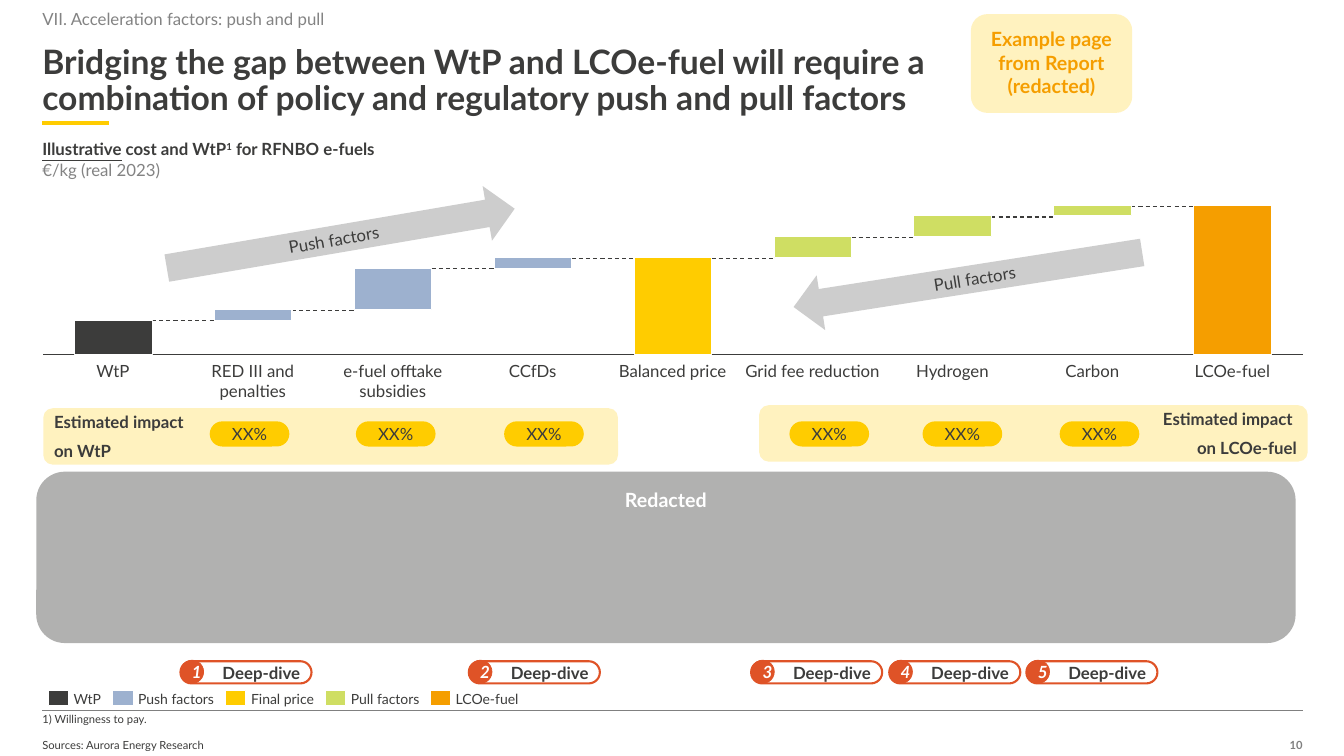
"""Builds the slide on push and pull factors that bridge WtP and LCOe-fuel."""
import dataclasses

import lxml.etree
import pptx
import pptx.chart.data
import pptx.dml.color
import pptx.enum.chart
import pptx.enum.dml
import pptx.enum.shapes
import pptx.enum.text
import pptx.oxml
import pptx.oxml.ns
import pptx.util

Inches = pptx.util.Inches
Pt = pptx.util.Pt
SHAPE = pptx.enum.shapes.MSO_SHAPE
ALIGN = pptx.enum.text.PP_ALIGN
ANCHOR = pptx.enum.text.MSO_ANCHOR


@dataclasses.dataclass(frozen=True)
class Theme:
    """Holds the colours, font and type sizes of the slide."""
    font: str = "Lato"
    ink: str = "3C3C3B"
    muted: str = "838383"
    rule: str = "808080"
    white: str = "FFFFFF"
    yellow: str = "FFCC00"
    pale: str = "FFF2BF"
    blue: str = "9DB1CF"
    green: str = "CFDE63"
    orange: str = "F59E00"
    red: str = "DF5327"
    arrow: str = "CDCDCD"
    cover: str = "B1B1B0"
    note: int = 8
    legend: int = 10
    body: int = 12
    callout: int = 14
    title: int = 24


THEME = Theme()


def rgb(code):
    """Turns a hex code into a colour."""
    return pptx.dml.color.RGBColor.from_string(code)


def write(para, text, size=THEME.body, color=THEME.ink, bold=False,
          italic=False, underline=False, baseline=0):
    """Adds one formatted span of text to a paragraph."""
    span = para.add_run()
    span.text = text
    font = span.font
    font.name, font.size, font.color.rgb = THEME.font, Pt(size), rgb(color)
    font.bold, font.italic, font.underline = bold, italic, underline
    if baseline:
        span._r.get_or_add_rPr().set("baseline", str(baseline * 1000))


class Page:
    """Draws styled elements on the current slide."""

    def __init__(self, slide, theme):
        """Keeps the slide and its theme."""
        self.shapes, self.theme = slide.shapes, theme

    def fill_text(self, box, lines, align, anchor, inset, spacing, wrap, style):
        """Sets a text frame and writes its lines as paragraphs."""
        frame = box.text_frame
        frame.word_wrap, frame.vertical_anchor = wrap, anchor
        frame.margin_left = frame.margin_right = Inches(inset)
        frame.margin_top = frame.margin_bottom = Inches(inset)
        for index, line in enumerate(lines):
            para = frame.add_paragraph() if index else frame.paragraphs[0]
            para.alignment, para.line_spacing = align, spacing
            if index:
                para.space_before = Pt(6)
            write(para, line, **style)

    def text(self, place, *lines, align=ALIGN.LEFT, anchor=ANCHOR.TOP,
             spacing=None, wrap=False, **style):
        """Adds a text box without margins."""
        box = self.shapes.add_textbox(*map(Inches, place))
        self.fill_text(box, lines, align, anchor, 0, spacing, wrap, style)
        return box

    def shape(self, kind, place, *lines, fill, line=None, weight=0.75, round_by=None,
              align=ALIGN.CENTER, anchor=ANCHOR.MIDDLE, turn=0, parent=None, **style):
        """Adds a filled preset shape with optional text."""
        box = (parent or self).shapes.add_shape(kind, *map(Inches, place))
        box.shadow.inherit = False
        box.fill.solid()
        box.fill.fore_color.rgb = rgb(fill)
        if line:
            box.line.color.rgb, box.line.width = rgb(line), Pt(weight)
        else:
            box.line.fill.background()
        if round_by is not None:
            box.adjustments[0] = round_by
        box.rotation = turn
        self.fill_text(box, lines, align, anchor, 0.08, None, True, style)

    def line(self, left, right, level, color, weight, dashed=False):
        """Adds a horizontal line."""
        line = self.shapes.add_connector(pptx.enum.shapes.MSO_CONNECTOR.STRAIGHT,
                                         *map(Inches, (left, level, right, level)))
        line.line.color.rgb, line.line.width = rgb(color), Pt(weight)
        if dashed:
            line.line.dash_style = pptx.enum.dml.MSO_LINE.DASH
        lxml.etree.SubElement(line._element.spPr, pptx.oxml.ns.qn("a:effectLst"))

    def badge(self, number, left):
        """Adds a numbered deep-dive badge."""
        group = self.shapes.add_group_shape()
        self.shape(SHAPE.ROUNDED_RECTANGLE, (left, 6.56, 1.3, 0.22), "Deep-dive",
                   fill=self.theme.white, line=self.theme.red, weight=1.5,
                   round_by=0.5, align=ALIGN.RIGHT, parent=group, bold=True)
        self.shape(SHAPE.OVAL, (left, 6.55, 0.23, 0.23), str(number),
                   fill=self.theme.red, line=self.theme.red, weight=0.5,
                   parent=group, color=self.theme.white, bold=True, italic=True)

    def waterfall(self, place, bases, steps, base_colors, step_colors):
        """Adds a stacked column chart that reads as a waterfall."""
        data = pptx.chart.data.CategoryChartData()
        data.categories = [str(number + 1) for number in range(len(bases))]
        data.add_series("Series 1", bases)
        data.add_series("Series 2", steps)
        chart = self.shapes.add_chart(pptx.enum.chart.XL_CHART_TYPE.COLUMN_STACKED,
                                      *map(Inches, place), data).chart
        chart.has_legend = chart.has_title = False
        chart.font.name, chart.font.size = self.theme.font, Pt(self.theme.legend)
        chart.font.color.rgb = rgb(self.theme.ink)
        values, names = chart.value_axis, chart.category_axis
        values.minimum_scale, values.maximum_scale = 0, 100
        values.has_major_gridlines = values.visible = False
        names.tick_label_position = pptx.enum.chart.XL_TICK_LABEL_POSITION.NONE
        names.major_tick_mark = pptx.enum.chart.XL_TICK_MARK.NONE
        names.format.line.color.rgb = rgb(self.theme.ink)
        names.format.line.width = Pt(0.75)
        plot = chart.plots[0]
        plot.gap_width, plot.overlap, plot.vary_by_categories = 80, 100, False
        plot.series[0].format.fill.background()
        plot.series[1].format.fill.solid()
        plot.series[1].format.fill.fore_color.rgb = rgb(self.theme.green)
        for series, colors in zip(plot.series, (base_colors, step_colors)):
            for index, color in colors.items():
                look = series.points[index].format
                look.fill.solid()
                look.fill.fore_color.rgb = rgb(color)
                look.line.color.rgb, look.line.width = rgb(self.theme.white), Pt(0.75)
        area = chart._chartSpace.chart.plotArea
        for old in area.findall(pptx.oxml.ns.qn("c:layout")):
            area.remove(old)
        spots = "".join(f'<c:{tag} val="{value}"/>' for tag, value in (
            ("layoutTarget", "inner"), ("xMode", "edge"), ("yMode", "edge"),
            ("x", 0.007), ("y", 0.054), ("w", 0.986), ("h", 0.891)))
        area.insert(0, pptx.oxml.parse_xml(
            f'<c:layout {pptx.oxml.ns.nsdecls("c")}><c:manualLayout>{spots}'
            '</c:manualLayout></c:layout>'))


def main():
    """Builds and saves the deck."""
    theme = THEME
    deck = pptx.Presentation()
    deck.slide_width, deck.slide_height = Inches(13.33), Inches(7.5)
    page = Page(deck.slides.add_slide(deck.slide_layouts[6]), theme)

    page.text((12.68, 7.34, 0.24, 0.12), "10", align=ALIGN.RIGHT, anchor=ANCHOR.BOTTOM,
              spacing=0.9, size=theme.note, color=theme.rule, bold=True)
    page.line(0.42, 12.92, 7.05, theme.rule, 0.25)
    page.line(0.42, 1.08, 1.22, theme.yellow, 2.5)
    page.text((0.42, 7.34, 1.64, 0.12), "Sources: Aurora Energy Research",
              anchor=ANCHOR.BOTTOM, spacing=0.9, size=theme.note)
    page.text((0.42, 7.08, 12.49, 0.12), "1) Willingness to pay.", wrap=True,
              spacing=0.9, size=theme.note)
    page.text((0.42, 0.45, 9.61, 0.67), "Bridging the gap between WtP and LCOe-fuel will "
              "require a combination of policy and regulatory push and pull factors",
              wrap=True, spacing=0.9, size=theme.title, bold=True)
    page.text((0.42, 0.09, 2.82, 0.2), "VII. Acceleration factors: push and pull",
              color=theme.muted)
    heading = page.text((0.42, 1.38, 7.33, 0.4), "Illustrative", wrap=True,
                        bold=True, underline=True)
    para = heading.text_frame.paragraphs[0]
    write(para, " cost and WtP", bold=True)
    write(para, "1", bold=True, baseline=30)
    write(para, " for RFNBO e-fuels", bold=True)
    para.add_line_break()
    write(para, "€/kg (real 2023)", color=theme.muted)

    bases = (23, 23, 30, 58, 65, 65, 79, 93, 100)
    steps = (None, 7, 28, 7, None, 14, 14, 7, None)
    first, pitch = 1.12, 12.49 / len(bases)
    half_bar = pitch / 3.6
    for index, level in enumerate((23, 30, 58, 65, 65, 79, 93, 100)):
        center = first + pitch * index
        page.line(center + half_bar, center + pitch - half_bar,
                  3.52 - 1.47 * level / 100, theme.ink, 0.75, dashed=True)
    page.waterfall((0.34, 1.95, 12.67, 1.66), bases, steps,
                   {0: theme.ink, 4: theme.yellow, 8: theme.orange},
                   {index: theme.blue if index < 4 else theme.green
                    for index, step in enumerate(steps) if step})
    labels = (("WtP", 0.35), ("RED III and penalties", 0.83),
              ("e-fuel offtake subsidies", 0.99), ("CCfDs", 0.5), ("Balanced price", 1.09),
              ("Grid fee reduction", 1.36), ("Hydrogen", 0.74), ("Carbon", 0.56),
              ("LCOe-fuel", 0.77))
    for index, (label, width) in enumerate(labels):
        wrap = index in (1, 2)
        page.text((first + pitch * index - width / 2, 3.58, width, 0.4 if wrap else 0.2),
                  label, align=ALIGN.CENTER, wrap=wrap)

    for label, left, width, color in (
            ("WtP", 0.48, 0.36, theme.ink), ("Push factors", 1.12, 0.84, theme.blue),
            ("Final price", 2.24, 0.72, theme.yellow),
            ("Pull factors", 3.23, 0.77, theme.green),
            ("LCOe-fuel", 4.27, 0.75, theme.orange)):
        page.shape(SHAPE.RECTANGLE, (left, 6.85, 0.2, 0.15), fill=color, line=theme.white)
        page.text((left + 0.25, 6.85, width, 0.17), label, anchor=ANCHOR.MIDDLE,
                  size=theme.legend)
    for number, left in enumerate((1.79, 4.65, 7.45, 8.82, 10.18), 1):
        page.badge(number, left)

    rounded = SHAPE.ROUNDED_RECTANGLE
    page.shape(rounded, (7.53, 4.02, 5.44, 0.56), "Estimated impact ", "on LCOe-fuel",
               fill=theme.pale, align=ALIGN.RIGHT, bold=True)
    page.shape(rounded, (0.43, 4.05, 5.7, 0.56), "Estimated impact", "on WtP",
               fill=theme.pale, align=ALIGN.LEFT, bold=True)
    for left in (2.08, 3.53, 5, 7.83, 9.15, 10.51):
        page.shape(rounded, (left, 4.18, 0.79, 0.25), "XX%", fill=theme.yellow, round_by=0.5)
    page.shape(SHAPE.RIGHT_ARROW, (1.63, 2.09, 3.5, 0.55), "Push factors",
               fill=theme.arrow, turn=350.3)
    page.shape(SHAPE.LEFT_ARROW, (7.85, 2.5, 3.5, 0.55), "Pull factors",
               fill=theme.arrow, turn=351.1)
    page.shape(rounded, (0.36, 4.68, 12.49, 1.7), "Redacted", fill=theme.cover,
               anchor=ANCHOR.TOP, size=theme.callout, color=theme.white, bold=True)
    page.shape(rounded, (9.63, 0.14, 1.6, 0.98), "Example page from Report (redacted)",
               fill=theme.pale, anchor=ANCHOR.TOP, size=theme.callout,
               color=theme.orange, bold=True)
    deck.save("out.pptx")


if __name__ == "__main__":
    main()
